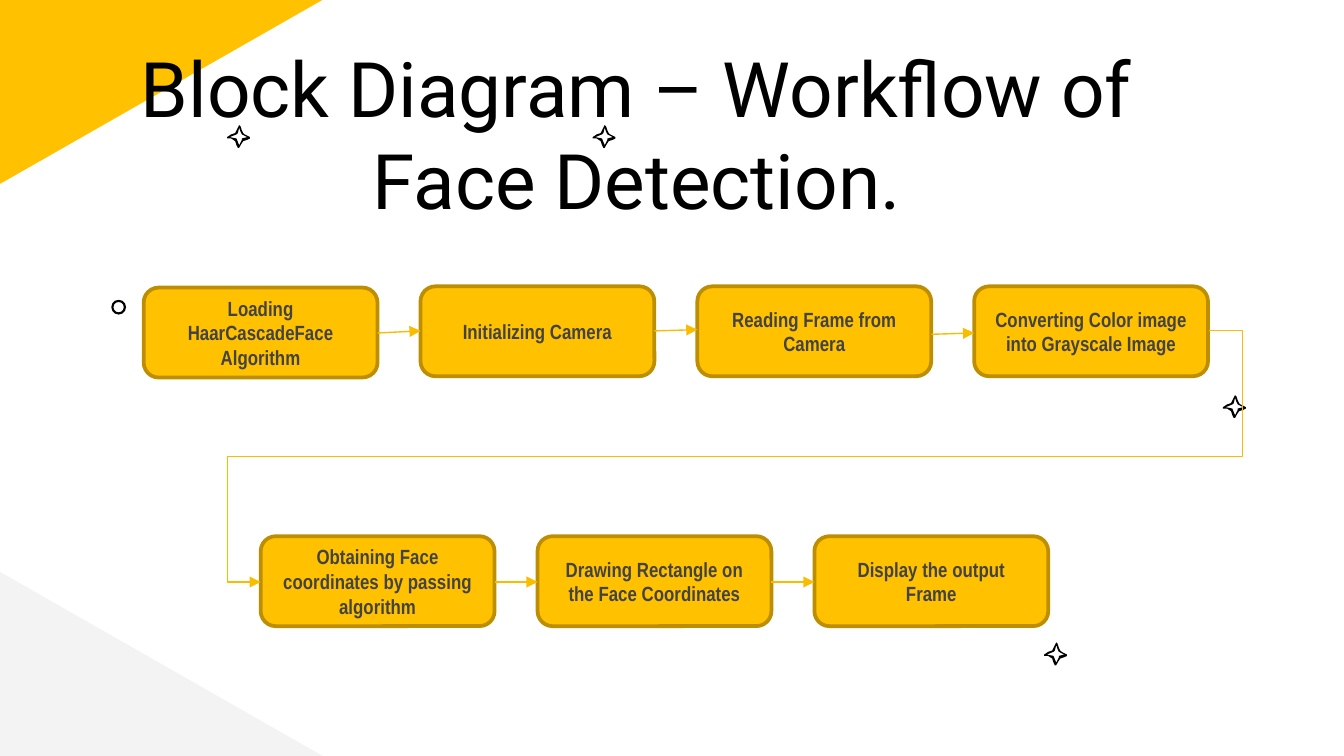
from pptx import Presentation
from pptx.dml.color import RGBColor
from pptx.enum.shapes import MSO_CONNECTOR, MSO_SHAPE
from pptx.enum.text import MSO_ANCHOR, PP_ALIGN
from pptx.oxml.ns import qn
from pptx.util import Pt
from lxml import etree

STRAIGHT, ELBOW = MSO_CONNECTOR.STRAIGHT, MSO_CONNECTOR.ELBOW
TRIANGLE, RING, ROUNDED = MSO_SHAPE.RIGHT_TRIANGLE, MSO_SHAPE.DONUT, MSO_SHAPE.ROUNDED_RECTANGLE
CENTER, TOP, MIDDLE = PP_ALIGN.CENTER, MSO_ANCHOR.TOP, MSO_ANCHOR.MIDDLE

COLORS = {
    "yellow": "FFC100", "border": "BD8F00", "arrow": "F9BD00",
    "gray": "F3F3F3", "label": "434343", "black": "000000",
}
SPARKLE_OUTER = [(9, 0), (7.5, 2), (6, 5.5), (3, 7), (0, 9), (0, 10), (3, 10.5), (6, 11.5),
                 (7, 15), (8, 17), (9, 17), (10.5, 15), (12, 12), (15, 11), (17, 10),
                 (17, 9), (13, 7), (12, 6), (11, 4), (10, 1)]
SPARKLE_INNER = [(9, 2), (10, 5), (11, 7), (13, 8), (15, 9), (11, 10), (11, 11), (9, 15),
                 (7, 10), (2, 9), (7, 7), (8, 6)]
BOX_WIDTH, BOX_HEIGHT, BOX_PITCH = 125.3, 48.2, 148.3
TOP_LEFT, TOP_ROW = 77, 153.4
BOTTOM_LEFT, BOTTOM_ROW = 139.7, 287.3


class SlideBuilder:
    def __init__(self, slide):
        self.shapes = slide.shapes

    def color(self, name):
        return RGBColor.from_string(COLORS[name])

    def paint(self, shape, fill, border=None):
        shape.shadow.inherit = False
        shape.fill.solid()
        shape.fill.fore_color.rgb = self.color(fill)
        if border:
            shape.line.color.rgb = self.color(border)
            shape.line.width = Pt(2)
        else:
            shape.line.fill.background()

    def shape(self, kind, left, top, width, height, fill, border=None):
        shape = self.shapes.add_shape(kind, Pt(left), Pt(top), Pt(width), Pt(height))
        self.paint(shape, fill, border)
        return shape

    def add_text(self, shape, text, font, size, color, anchor, bold=False):
        frame = shape.text_frame
        frame.word_wrap = True
        frame.vertical_anchor = anchor
        para = frame.paragraphs[0]
        para.alignment = CENTER
        span = para.add_run()
        span.text = text
        span.font.name = font
        span.font.size = Pt(size)
        span.font.bold = bold
        span.font.color.rgb = self.color(color)
        return frame

    def corner(self, top, fill, flipped=False):
        triangle = self.shape(TRIANGLE, 0, top, 172.8, 98.6, fill)
        if flipped:
            triangle._element.spPr.find(qn("a:xfrm")).set("flipV", "1")

    def title(self, text):
        box = self.shapes.add_textbox(Pt(22.3), Pt(15.1), Pt(637.9), Pt(45.4))
        frame = self.add_text(box, text, "Roboto", 41, "black", TOP)
        frame.margin_left = frame.margin_right = Pt(14)
        frame.margin_top = frame.margin_bottom = Pt(7.2)
        frame.paragraphs[0].line_spacing = Pt(49)

    def sparkle(self, left, top):
        builder = self.shapes.build_freeform(*SPARKLE_OUTER[0], scale=Pt(0.72))
        builder.add_line_segments(SPARKLE_OUTER[1:], close=True)
        builder.move_to(*SPARKLE_INNER[0])
        builder.add_line_segments(SPARKLE_INNER[1:], close=True)
        self.paint(builder.convert_to_shape(Pt(left), Pt(top)), "black")

    def ring(self, left, top):
        ring = self.shape(RING, left, top, 7.9, 7.9, "black")
        ring.adjustments[0] = 0.15

    def step(self, left, top, text):
        box = self.shape(ROUNDED, left, top, BOX_WIDTH, BOX_HEIGHT, "yellow", "border")
        self.add_text(box, text, "Arial Narrow", 11, "label", MIDDLE, bold=True)

    def arrow(self, start, end, kind=STRAIGHT):
        arrow = self.shapes.add_connector(kind, *map(Pt, start + end))
        arrow.line.color.rgb = self.color("arrow")
        arrow.line.width = Pt(0.75)
        outline = arrow._element.spPr.find(qn("a:ln"))
        etree.SubElement(outline, qn("a:tailEnd"), type="triangle")
        etree.SubElement(arrow._element.spPr, qn("a:effectLst"))
        return arrow

    def return_arrow(self, start, end):
        arrow = self.arrow(start, end, ELBOW)
        geometry = arrow._element.spPr.find(qn("a:prstGeom"))
        geometry.set("prst", "bentConnector5")
        guides = geometry.find(qn("a:avLst"))
        for number, value in enumerate((-3500, 50000, 103500), 1):
            etree.SubElement(guides, qn("a:gd"), name=f"adj{number}", fmla=f"val {value}")


def main():
    deck = Presentation()
    deck.slide_width, deck.slide_height = Pt(720), Pt(405)
    page = SlideBuilder(deck.slides.add_slide(deck.slide_layouts[6]))

    page.corner(0, "yellow", flipped=True)
    page.corner(306.4, "gray")
    page.title("Block Diagram – Workflow of Face Detection.")
    for left, top in [(559.4, 344.2), (655.2, 211.7), (317.5, 67), (121.7, 67)]:
        page.sparkle(left, top)
    page.ring(59.6, 160.6)

    top_steps = ["Loading HaarCascadeFace Algorithm", "Initializing Camera",
                 "Reading Frame from Camera", "Converting Color image into Grayscale Image"]
    bottom_steps = ["Obtaining Face coordinates by passing algorithm",
                    "Drawing Rectangle on the Face Coordinates", "Display the output Frame"]
    top_arrows = [(178.4, 177.3), (177.3, 176.6), (179.1, 178.4)]
    bottom_arrows = [(311.8, 311.8)] * 2
    rows = [(TOP_LEFT, TOP_ROW, top_steps, top_arrows),
            (BOTTOM_LEFT, BOTTOM_ROW, bottom_steps, bottom_arrows)]
    for left, top, steps, arrows in rows:
        for index, text in enumerate(steps):
            nudge = 0.7 if text == top_steps[0] else 0
            page.step(left + index * BOX_PITCH, top + nudge, text)
        for index, (start, end) in enumerate(arrows):
            box_left = left + index * BOX_PITCH
            page.arrow((box_left + BOX_WIDTH, start), (box_left + BOX_PITCH, end))
    page.return_arrow((648, 177.1), (BOTTOM_LEFT, 311.8))

    deck.save("out.pptx")


if __name__ == "__main__":
    main()
